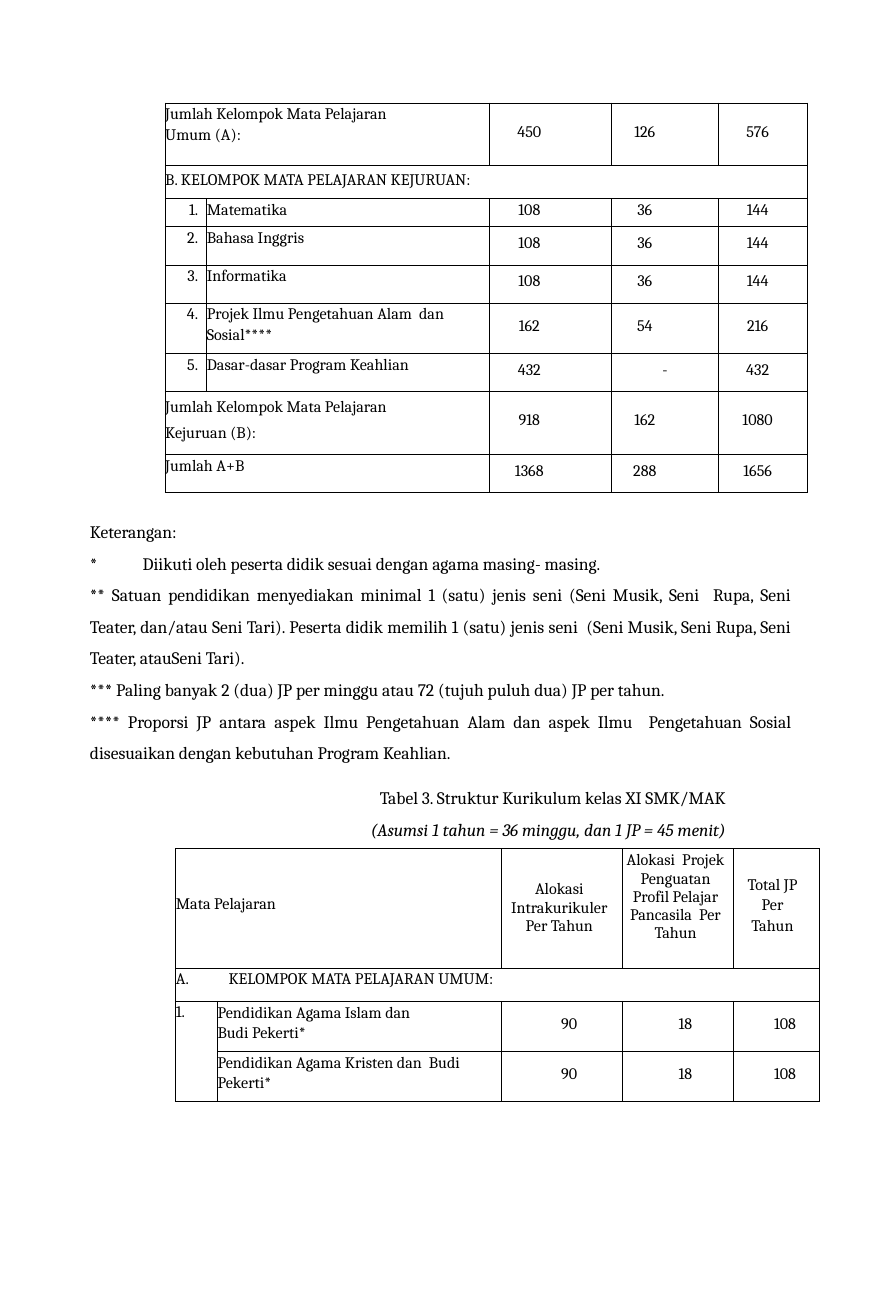
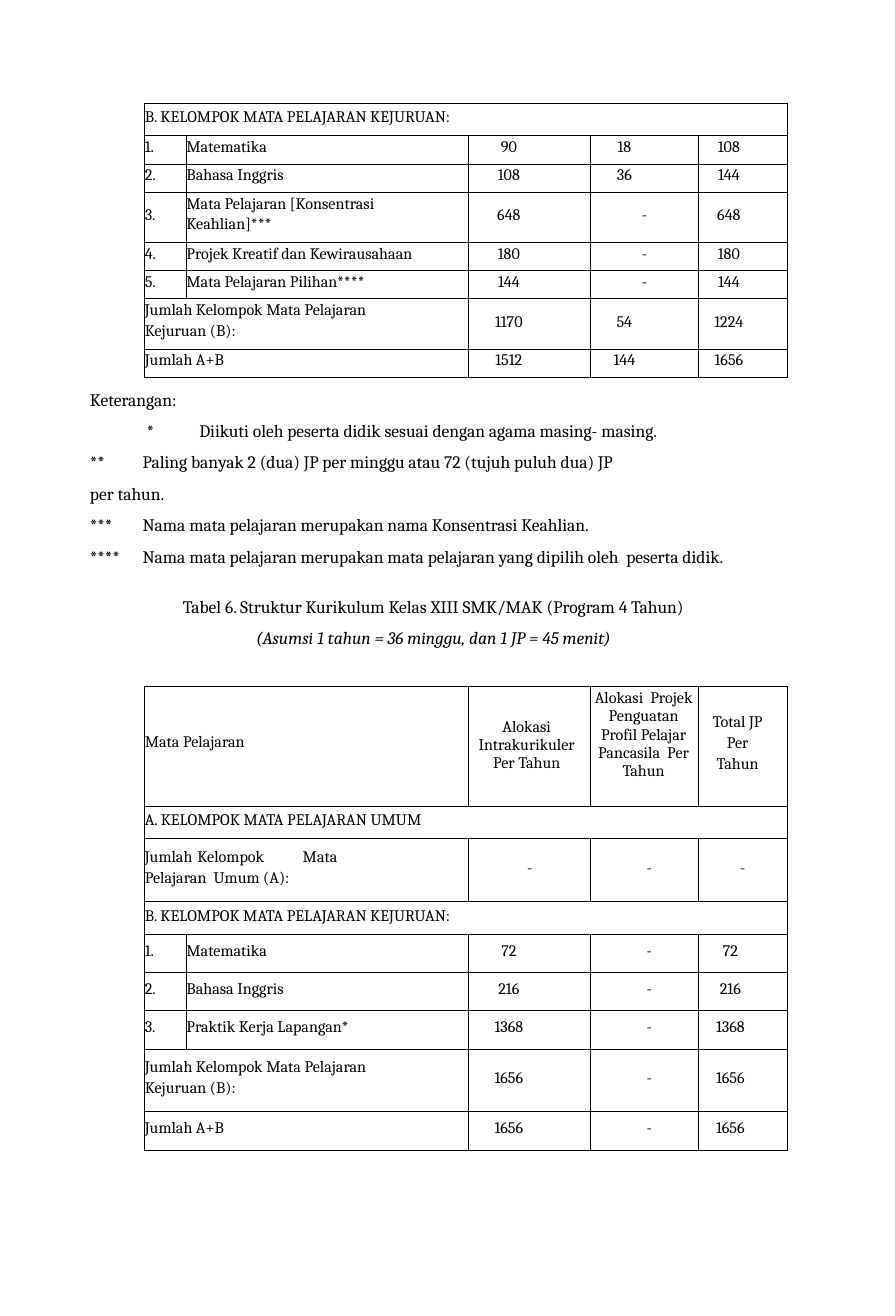
from lxml import etree
from pptx import Presentation
from pptx.dml.color import RGBColor
from pptx.enum import text
from pptx.oxml import ns
from pptx.util import Pt

BLACK = RGBColor(0x00, 0x00, 0x00)
LEFT, CENTER, RIGHT, JUSTIFY = (text.PP_ALIGN.LEFT, text.PP_ALIGN.CENTER,
                                text.PP_ALIGN.RIGHT, text.PP_ALIGN.JUSTIFY)

# Row heights, and the space above the text that goes with each
HEAD, BAND, LOW, MID, TWO, TALL = 82, 22.5, 19.3, 26.1, 34.3, 43
VALUE_PADS = {LOW: 1.5, MID: 5, TWO: 9.4, TALL: 13.5}
TIGHT_PADS = {LOW: 1.5, MID: 1.5, TWO: 0, TALL: 0}
ROOMY_PADS = {LOW: 1.5, MID: 5, TWO: 0, TALL: 4.5}

WIDTHS = (28.5, 193, 83.5, 73.5, 61)
HEAD_ROW = (HEAD, None, "Mata Pelajaran", (
    # text, space above, centre line, line spacing
    ("Alokasi\vIntrakurikuler\vPer Tahun", 21.7, 39.7, 0.98),
    ("Alokasi  Projek\vPenguatan\vProfil Pelajar\vPancasila  Per\vTahun",
     2, 36.2, 0.98),
    ("Total JP\vPer\vTahun", 17, 27, 1.12)))
ASSUMPTION = "(Asumsi 1 tahun = 36 minggu, dan 1 JP = 45 menit)"
VOCATIONAL = "B. KELOMPOK MATA PELAJARAN KEJURUAN:"
VOCATIONAL_SUM = "Jumlah Kelompok Mata Pelajaran\vKejuruan (B):"
GRAND_SUM = "Jumlah A+B"


class Page:
    """Holds the document style and the current slide."""

    font, cell_size, note_size, rule = "Cambria", 11, 12, 0.75

    def __init__(self, prs):
        """Add a blank slide."""
        self.s = prs.slides.add_slide(prs.slide_layouts[6])

    def style(self, p, size, align=LEFT, spacing=1.0, italic=False):
        """Format a paragraph, its runs and its line breaks."""
        p.alignment, p.line_spacing = align, spacing
        for r in p.runs:
            r.font.name, r.font.size, r.font.italic = self.font, Pt(size), italic
            r.font.color.rgb = BLACK
        for br in p._p.findall(ns.qn("a:br")):
            etree.SubElement(br, ns.qn("a:rPr"), sz=str(size * 100))

    def box(self, x, y, w, h, content):
        """Add a text box without insets and return its text frame."""
        tf = self.s.shapes.add_textbox(Pt(x), Pt(y), Pt(w), Pt(h)).text_frame
        tf.word_wrap = True
        tf.margin_left = tf.margin_right = tf.margin_top = tf.margin_bottom = 0
        tf.text = content
        return tf

    def notes(self, y, *lines, x=61.5, w=480):
        """Add footnotes, one paragraph each."""
        tf = self.box(x, y, w, 21 * len(lines), "\n".join(lines))
        for p in tf.paragraphs:
            self.style(p, self.note_size, JUSTIFY, 1.5)

    def caption(self, x, y, w, title, align):
        """Add a table title with the assumption below it."""
        title_p, sub_p = self.box(x, y, w, 36, f"{title}\n{ASSUMPTION}").paragraphs
        self.style(title_p, self.note_size, align)
        self.style(sub_p, self.note_size, align, italic=True)
        sub_p.space_before = Pt(7)

    def border(self, cell):
        """Clear the cell fill and rule all four sides."""
        cell.fill.background()
        tcPr = cell._tc.get_or_add_tcPr()
        for i, side in enumerate(("lnL", "lnR", "lnT", "lnB")):
            ln = etree.Element(ns.qn(f"a:{side}"), w=str(int(Pt(self.rule))))
            fill = etree.SubElement(ln, ns.qn("a:solidFill"))
            etree.SubElement(fill, ns.qn("a:srgbClr"), val=str(BLACK))
            tcPr.insert(i, ln)

    def fill_cell(self, cell, content, pad, align=LEFT, spacing=1.0, right=0):
        """Write text into a cell below the given space."""
        cell.text_frame.text = content
        cell.margin_top, cell.margin_right = Pt(pad), Pt(right)
        self.style(cell.text_frame.paragraphs[0], self.cell_size, align, spacing)

    def centre_cell(self, cell, width, content, pad, centre, spacing=1.0):
        """Write text centred on a line measured from the cell's left edge."""
        shift = 2 * centre - width
        self.fill_cell(cell, content, pad, CENTER, spacing, max(-shift, 0))
        cell.margin_left = Pt(max(shift, 0))

    def table(self, x, y, rows, centres, widths=WIDTHS, roomy=True,
              number_right=False, band_pad=3.6):
        """Add a curriculum table of (height, number, label, values) rows."""
        tbl = self.s.shapes.add_table(
            len(rows), len(widths), Pt(x), Pt(y), Pt(sum(widths)),
            Pt(sum(row[0] for row in rows))).table
        tbl.first_row = tbl.horz_banding = False
        for col, width in zip(tbl.columns, widths):
            col.width = Pt(width)
        for cell in tbl.iter_cells():
            cell.margin_left = cell.margin_right = 0
            cell.margin_top = cell.margin_bottom = 0
            self.border(cell)
        label_pads = ROOMY_PADS if roomy else TIGHT_PADS
        for i, (height, number, label, values, *spacing) in enumerate(rows):
            tbl.rows[i].height = Pt(height)
            cells = [tbl.cell(i, j) for j in range(len(widths))]
            if values is None:
                cells[0].merge(cells[-1])
                self.fill_cell(cells[0], label, band_pad)
                continue
            if number is None:
                cells[0].merge(cells[1])
                label_cell = cells[0]
            else:
                label_cell = cells[1]
                if number:
                    self.fill_cell(cells[0], number,
                                   VALUE_PADS[height] if roomy else 1.5,
                                   RIGHT if number_right else LEFT,
                                   right=6 if number_right else 0)
                else:
                    tbl.cell(i - 1, 0).merge(cells[0])
            if height == HEAD:
                self.fill_cell(label_cell, label, 32)
                for cell, width, heading in zip(cells[2:], widths[2:], values):
                    self.centre_cell(cell, width, *heading)
                continue
            self.fill_cell(label_cell, label, label_pads[height],
                           spacing=spacing[0] if spacing else 1.12 if height in (TWO, TALL) else 1.0)
            for cell, width, value, centre in zip(
                    cells[2:], widths[2:], values.split(), centres):
                if value == "-":
                    centre = max(centre, width / 2)
                self.centre_cell(cell, width, value, VALUE_PADS[height], centre)


def class_x_and_xi(prs):
    """Build the end of the class X table and the start of class XI."""
    page = Page(prs)
    page.table(113, 70.5, [
        (TALL, None, "Jumlah Kelompok Mata Pelajaran\vUmum (A):", "450 126 576"),
        (BAND, None, VOCATIONAL, None),
        (LOW, "1.", "Matematika", "108 36 144"),
        (MID, "2.", "Bahasa Inggris", "108 36 144"),
        (MID, "3.", "Informatika", "108 36 144"),
        (TWO, "4.", "Projek Ilmu Pengetahuan Alam  dan\vSosial****", "162 54 216"),
        (MID, "5.", "Dasar-dasar Program Keahlian", "432 - 432"),
        (TALL, None, VOCATIONAL_SUM, "918 162 1080", 1.36),
        (MID, None, GRAND_SUM, "1368 288 1656"),
    ], (27.5, 23, 26.7), roomy=False, number_right=True)
    page.notes(
        349.2,
        "Keterangan:",
        "*\tDiikuti oleh peserta didik sesuai dengan agama masing- masing.",
        "** Satuan pendidikan menyediakan minimal 1 (satu) jenis seni (Seni Musik, "
        "Seni  Rupa, Seni Teater, dan/atau Seni Tari). Peserta didik memilih 1 (satu) "
        "jenis seni  (Seni Musik, Seni Rupa, Seni Teater, atauSeni Tari).",
        "*** Paling banyak 2 (dua) JP per minggu atau 72 (tujuh puluh dua) JP per tahun.",
        "**** Proporsi JP antara aspek Ilmu Pengetahuan Alam dan aspek Ilmu  "
        "Pengetahuan Sosial disesuaikan dengan kebutuhan Program Keahlian.")
    page.caption(61.5, 538.5, 435, "Tabel 3. Struktur Kurikulum kelas XI SMK/MAK", RIGHT)
    page.table(120.3, 580.3, [
        HEAD_ROW,
        (BAND, None, "A.\tKELOMPOK MATA PELAJARAN UMUM:", None),
        (TWO, "1.", "Pendidikan Agama Islam dan\vBudi Pekerti*", "90 18 108"),
        (TWO, "", "Pendidikan Agama Kristen dan  Budi\vPekerti*", "90 18 108"),
    ], (46.5, 43, 35.6), (28.5, 194, 83, 75.5, 59), roomy=False, band_pad=1)


def class_xii_and_xiii(prs):
    """Build the end of the class XII table and the class XIII table."""
    page = Page(prs)
    page.table(99, 70.5, [
        (BAND, None, VOCATIONAL, None),
        (LOW, "1.", "Matematika", "90 18 108"),
        (LOW, "2.", "Bahasa Inggris", "108 36 144"),
        (TWO, "3.", "Mata Pelajaran [Konsentrasi\vKeahlian]***", "648 - 648"),
        (LOW, "4.", "Projek Kreatif dan Kewirausahaan", "180 - 180"),
        (LOW, "5.", "Mata Pelajaran Pilihan****", "144 - 144"),
        (TWO, None, VOCATIONAL_SUM, "1170 54 1224"),
        (LOW, None, GRAND_SUM, "1512 144 1656"),
    ], (27.5, 23, 21))
    page.notes(259, "Keterangan:", w=72)
    page.notes(
        280.2, "*\tDiikuti oleh peserta didik sesuai dengan agama masing- masing.",
        x=100.3, w=441)
    page.notes(
        301.4,
        "**\tPaling banyak 2 (dua) JP per minggu atau 72 (tujuh puluh dua) JP",
        "per tahun.",
        "***\tNama mata pelajaran merupakan nama Konsentrasi Keahlian.",
        "****\tNama mata pelajaran merupakan mata pelajaran yang dipilih oleh  peserta didik.")
    page.caption(61.5, 407.3, 470,
                 "Tabel 6. Struktur Kurikulum Kelas XIII SMK/MAK (Program 4 Tahun)", CENTER)
    page.table(99, 469.3, [
        HEAD_ROW,
        (BAND, None, "A. KELOMPOK MATA PELAJARAN UMUM", None),
        (TALL, None, "Jumlah\tKelompok\tMata\vPelajaran  Umum (A):", "- - -"),
        (BAND, None, VOCATIONAL, None),
        (MID, "1.", "Matematika", "72 - 72"),
        (MID, "2.", "Bahasa Inggris", "216 - 216"),
        (MID, "3.", "Praktik Kerja Lapangan*", "1368 - 1368"),
        (TALL, None, VOCATIONAL_SUM, "1656 - 1656"),
        (MID, None, GRAND_SUM, "1656 - 1656"),
    ], (27.5, 40, 22))


prs = Presentation()
prs.slide_width, prs.slide_height = Pt(612), Pt(900)
class_x_and_xi(prs)
class_xii_and_xiii(prs)
prs.save("out.pptx")
